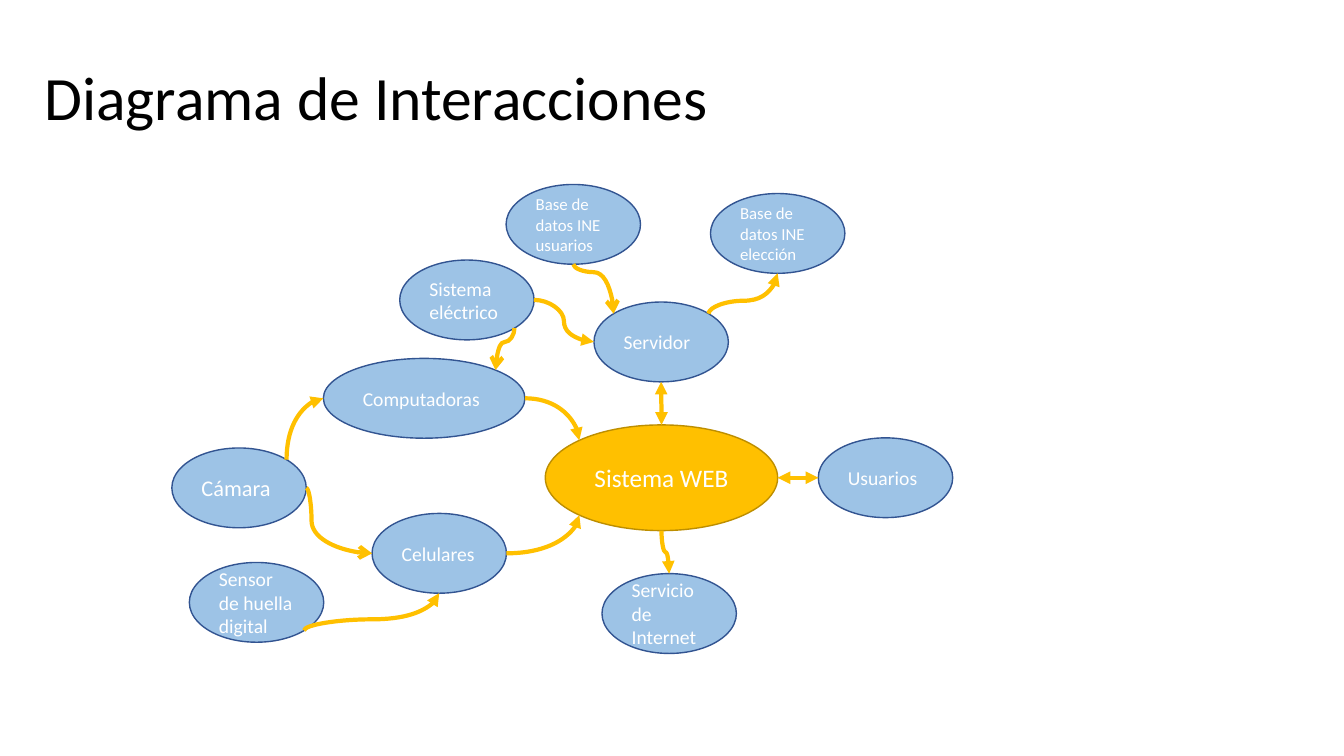
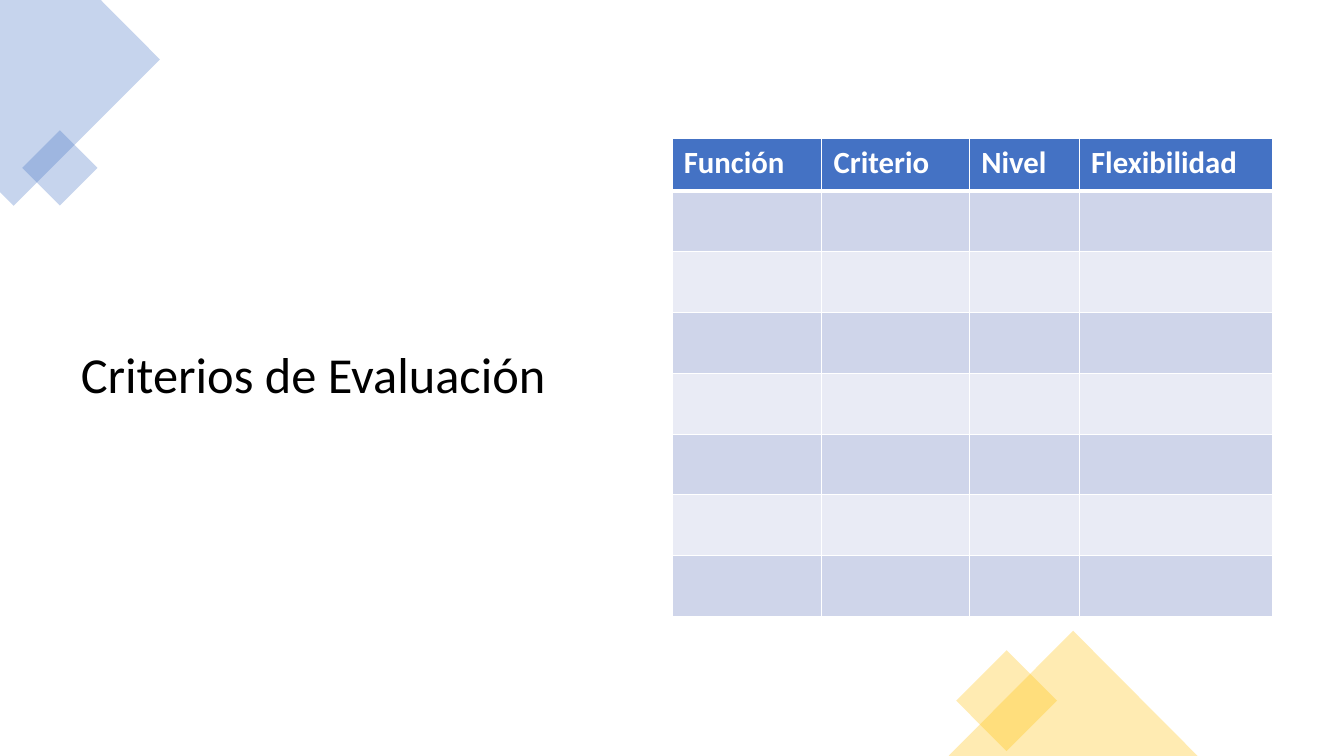
from math import cos, radians, sin

from lxml.etree import SubElement
from pptx import Presentation
from pptx.dml.color import RGBColor
from pptx.enum.shapes import MSO_CONNECTOR, MSO_SHAPE
from pptx.enum.text import MSO_ANCHOR, MSO_AUTO_SIZE, PP_ALIGN
from pptx.oxml.ns import qn
from pptx.util import Pt

FONT = "Calibri"
BLACK = RGBColor(0x00, 0x00, 0x00)
WHITE = RGBColor(0xFF, 0xFF, 0xFF)
BLUE = RGBColor(0x44, 0x72, 0xC4)
SKY = RGBColor(0x9D, 0xC3, 0xE6)
NAVY = RGBColor(0x32, 0x54, 0x91)
GOLD = RGBColor(0xFF, 0xC0, 0x00)
DARK_GOLD = RGBColor(0xBD, 0x8E, 0x00)
BANDS = (RGBColor(0xCF, 0xD5, 0xEA), RGBColor(0xE9, 0xEB, 0xF5))

HUB = "Sistema WEB"
NODE_SIZE = (96, 57)
# text: (left, top, font size[, width, height])
NODES = {
    HUB: (389.5, 303.5, 18, 166, 75.5),
    "Servidor": (424.25, 215.75, 14),
    "Computadoras": (231, 256, 14, 144, 57),
    "Celulares": (265.75, 366.75, 14),
    "Base de datos INE elección": (507.5, 138.25, 12),
    "Base de datos INE usuarios": (361.5, 131.75, 12),
    "Sensor de huella digital": (135.25, 401.75, 14),
    "Cámara": (122.75, 320, 16),
    "Usuarios": (584.5, 312.75, 14),
    "Sistema eléctrico": (285.5, 185.75, 14),
    "Servicio de Internet": (430, 409.75, 14),
}

# Connection sites of an ellipse, counter-clockwise in steps of 45 degrees
(TOP, TOP_LEFT, LEFT, BOTTOM_LEFT,
 BOTTOM, BOTTOM_RIGHT, RIGHT, TOP_RIGHT) = range(8)
ACROSS, DOWN, CORNER = "across", "down", "corner"

# begin, site, end, site, route, head arrow, tail arrow, bend
LINKS = [
    (HUB, TOP, "Servidor", BOTTOM, DOWN, "triangle", "triangle", 0.5),
    (HUB, RIGHT, "Usuarios", LEFT, ACROSS, "triangle", "triangle", 0.5),
    ("Celulares", RIGHT, HUB, BOTTOM_LEFT, CORNER, None, "triangle", None),
    ("Computadoras", RIGHT, HUB, TOP_LEFT, CORNER, None, "triangle", None),
    ("Servidor", TOP_RIGHT, "Base de datos INE elección", BOTTOM,
     DOWN, None, "triangle", 0.32),
    ("Servidor", TOP_LEFT, "Base de datos INE usuarios", BOTTOM,
     DOWN, "arrow", None, 0.84),
    ("Computadoras", TOP_RIGHT, "Sistema eléctrico", BOTTOM_RIGHT,
     DOWN, "arrow", None, 0.67),
    ("Sistema eléctrico", RIGHT, "Servidor", LEFT, ACROSS, None, "triangle", 0.5),
    ("Computadoras", LEFT, "Cámara", TOP_RIGHT, CORNER, "triangle", None, None),
    ("Celulares", LEFT, "Cámara", RIGHT, ACROSS, "arrow", None, 0.92),
    ("Sensor de huella digital", BOTTOM_RIGHT, "Celulares", BOTTOM,
     DOWN, None, "triangle", 0.3),
    (HUB, BOTTOM, "Servicio de Internet", TOP, DOWN, None, "triangle", 0.5),
]

CRITERIA = [("Función", 107), ("Criterio", 105.5), ("Nivel", 78.5),
            ("Flexibilidad", 138)]
EMPTY_ROWS = 7
HEADER_HEIGHT, ROW_HEIGHT = 37.5, 43.4

CORNER_BLOCK = [(0, 0), (72, 0), (114.25, 42.5), (9.75, 147), (0, 137.25)]
# preset, left, top, width, height, rotation, colour
ORNAMENTS = [
    (MSO_SHAPE.RECTANGLE, 23.75, 101, 38, 38, 45, BLUE),
    (MSO_SHAPE.RECTANGLE, 693.5, 475, 51, 51, 45, GOLD),
    (MSO_SHAPE.ISOSCELES_TRIANGLE, 677.5, 450.5, 178, 89.5, 0, GOLD),
]


def add_text(paragraph, text, size, color, bold=False):
    run = paragraph.add_run()
    run.text = text
    run.font.name = FONT
    run.font.size = Pt(size)
    run.font.bold = bold
    run.font.color.rgb = color


def add_titled_slide(prs, text, size, box):
    slide = prs.slides.add_slide(prs.slide_layouts[5])
    title = slide.shapes.title
    title.left, title.top, title.width, title.height = map(Pt, box)
    frame = title.text_frame
    frame.word_wrap = True
    frame.auto_size = MSO_AUTO_SIZE.NONE
    frame.vertical_anchor = MSO_ANCHOR.MIDDLE
    paragraph = frame.paragraphs[0]
    paragraph.alignment = PP_ALIGN.LEFT
    paragraph.line_spacing = 0.9
    add_text(paragraph, text, size, BLACK)
    return slide


def node_box(name):
    left, top, _, *size = NODES[name]
    return (left, top, *(size or NODE_SIZE))


def site_point(name, site):
    left, top, width, height = node_box(name)
    angle = radians(45 * site)
    return (left + width / 2 * (1 - sin(angle)),
            top + height / 2 * (1 - cos(angle)))


def add_node(slide, name):
    node = slide.shapes.add_shape(MSO_SHAPE.OVAL, *map(Pt, node_box(name)))
    is_hub = name == HUB
    node.shadow.inherit = False
    node.fill.solid()
    node.fill.fore_color.rgb = GOLD if is_hub else SKY
    node.line.color.rgb = DARK_GOLD if is_hub else NAVY
    node.line.width = Pt(1)
    frame = node.text_frame
    frame.word_wrap = True
    frame.vertical_anchor = MSO_ANCHOR.MIDDLE
    paragraph = frame.paragraphs[0]
    paragraph.alignment = PP_ALIGN.CENTER if is_hub else PP_ALIGN.LEFT
    add_text(paragraph, name, NODES[name][2], WHITE)
    return node


def orient(link, begin, end, route):
    """Turn and flip the curve so that it leaves its begin along the route."""
    (x1, y1), (x2, y2) = begin, end
    dx, dy = x2 - x1, y2 - y1
    width, height = abs(dx), abs(dy)
    if route == DOWN:
        width, height = height, width
        if dx > 0 > dy:
            turn, flip_h, flip_v = 90, True, True
        else:
            turn, flip_h, flip_v = 270, dy > 0, dx < 0
    elif dx < 0:
        turn, flip_h, flip_v = 180, False, dy > 0
    else:
        turn, flip_h, flip_v = 0, False, dy < 0
    link.left = Pt((x1 + x2 - width) / 2)
    link.top = Pt((y1 + y2 - height) / 2)
    link.width, link.height = Pt(width), Pt(height)
    link.rotation = turn
    frame = link.element.spPr.find(qn("a:xfrm"))
    frame.set("flipH", str(int(flip_h)))
    frame.set("flipV", str(int(flip_v)))


def add_link(slide, nodes, begin, begin_site, end, end_site, route, head, tail, bend):
    points = site_point(begin, begin_site), site_point(end, end_site)
    link = slide.shapes.add_connector(
        MSO_CONNECTOR.CURVE, *(Pt(value) for point in points for value in point))
    orient(link, *points, route)
    link.line.color.rgb = GOLD
    link.line.width = Pt(3)

    properties = link.element.spPr
    outline = properties.find(qn("a:ln"))
    for tag, arrow in (("a:headEnd", head), ("a:tailEnd", tail)):
        if arrow:
            SubElement(outline, qn(tag), type=arrow)
    SubElement(properties, qn("a:effectLst"))

    geometry = properties.find(qn("a:prstGeom"))
    if route == CORNER:
        geometry.set("prst", "curvedConnector2")
    else:
        SubElement(geometry.find(qn("a:avLst")), qn("a:gd"),
                   name="adj1", fmla=f"val {round(bend * 100000)}")

    joints = link.element.find(".//" + qn("p:cNvCxnSpPr"))
    for tag, name, site in (("a:stCxn", begin, begin_site),
                            ("a:endCxn", end, end_site)):
        SubElement(joints, qn(tag), id=str(nodes[name].shape_id), idx=str(site))


def tint(shape, color):
    """Fill with 30 % of the colour, without outline or shadow."""
    shape.shadow.inherit = False
    shape.line.fill.background()
    shape.fill.solid()
    shape.fill.fore_color.rgb = color
    fill_color = shape.element.spPr.find(qn("a:solidFill"))[0]
    SubElement(fill_color, qn("a:alpha"), val="30000")


def add_ornaments(slide):
    builder = slide.shapes.build_freeform(*map(Pt, CORNER_BLOCK[0]), scale=1.0)
    builder.add_line_segments([(Pt(x), Pt(y)) for x, y in CORNER_BLOCK[1:]])
    tint(builder.convert_to_shape(), BLUE)
    for preset, left, top, width, height, turn, color in ORNAMENTS:
        ornament = slide.shapes.add_shape(
            preset, Pt(left), Pt(top), Pt(width), Pt(height))
        ornament.rotation = turn
        tint(ornament, color)


def style_cell(cell, color, top_border, bottom_border):
    properties = cell._tc.get_or_add_tcPr()
    borders = {"a:lnL": 1, "a:lnR": 1, "a:lnT": top_border, "a:lnB": bottom_border}
    for tag, width in borders.items():
        border = SubElement(properties, qn(tag), w=str(Pt(width)))
        fill = SubElement(border, qn("a:solidFill"))
        SubElement(fill, qn("a:srgbClr"), val=str(WHITE))
    cell.fill.solid()
    cell.fill.fore_color.rgb = color
    cell.margin_left = cell.margin_right = Pt(8.5)
    cell.margin_top = cell.margin_bottom = Pt(4.25)


def add_criteria_table(slide):
    width = sum(column_width for _, column_width in CRITERIA)
    height = HEADER_HEIGHT + EMPTY_ROWS * ROW_HEIGHT
    table = slide.shapes.add_table(
        EMPTY_ROWS + 1, len(CRITERIA), Pt(480), Pt(99), Pt(width), Pt(height)).table
    for column, (heading, column_width) in enumerate(CRITERIA):
        table.columns[column].width = Pt(column_width)
        add_text(table.cell(0, column).text_frame.paragraphs[0],
                 heading, 22, WHITE, bold=True)
    for index, row in enumerate(table.rows):
        row.height = Pt(ROW_HEIGHT if index else HEADER_HEIGHT)
        color = BANDS[(index - 1) % 2] if index else BLUE
        for cell in row.cells:
            style_cell(cell, color, 3 if index == 1 else 1, 1 if index else 3)


def main():
    prs = Presentation()
    prs.slide_width, prs.slide_height = Pt(960), Pt(540)

    diagram = add_titled_slide(prs, "Diagrama de Interacciones", 44,
                               (24.5, 19.5, 828, 104.5))
    nodes = {name: add_node(diagram, name) for name in NODES}
    for link in LINKS:
        add_link(diagram, nodes, *link)

    evaluation = add_titled_slide(prs, "Criterios de Evaluación", 36,
                                  (50.5, 50.5, 378, 438.5))
    add_ornaments(evaluation)
    add_criteria_table(evaluation)
    prs.save("out.pptx")


if __name__ == "__main__":
    main()
